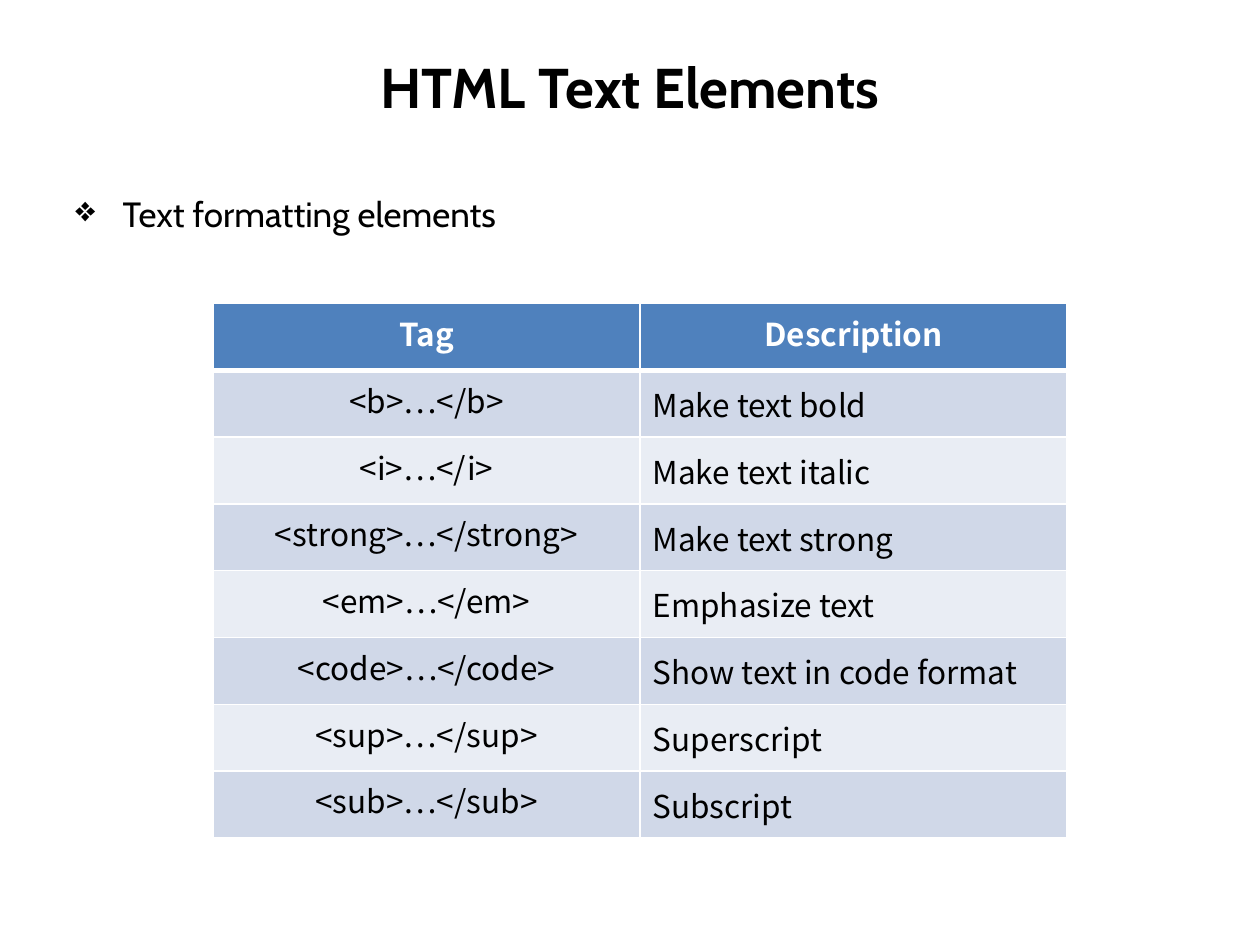
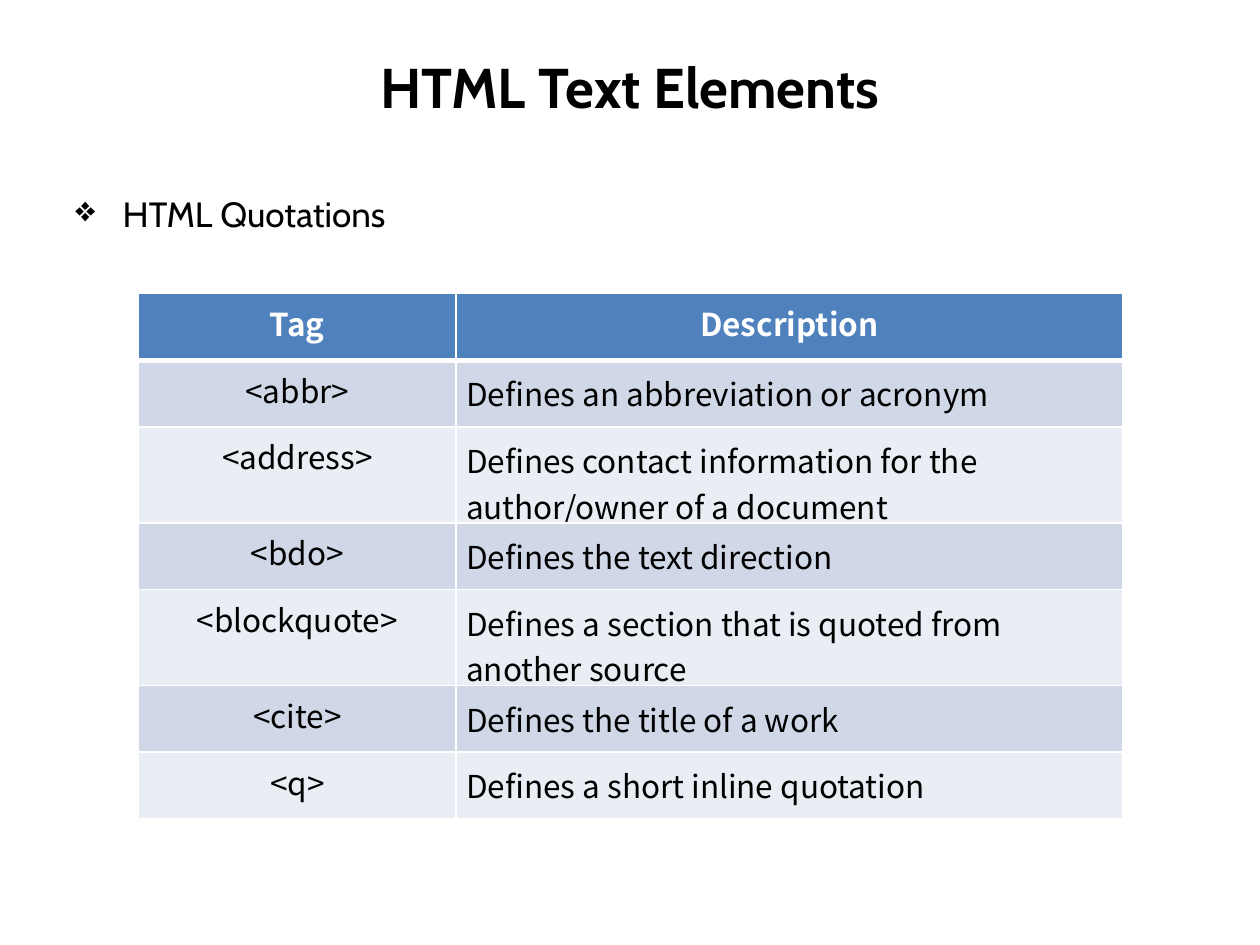
"""Builds two slides listing HTML text elements, each with a heading, a topic and a tag table."""
import pptx
import pptx.dml.color
import pptx.enum.text
import pptx.oxml
import pptx.oxml.ns
import pptx.util

COLORS = {
    "ink": "000000",
    "paper": "FFFFFF",
    "header": "4F81BD",
    "odd": "D0D8E8",
    "even": "E9EDF4",
}
FONTS = {"text": "Cabin", "table": "Noto Sans CJK KR"}
ALIGN = pptx.enum.text.PP_ALIGN
ANCHOR = pptx.enum.text.MSO_ANCHOR
GRID_COLUMNS, GRID_ROWS = 100, 75
ROW_HEIGHT = 5.3

FORMATTING = [(f"<{tag}>…</{tag}>", meaning) for tag, meaning in (
    ("b", "Make text bold"),
    ("i", "Make text italic"),
    ("strong", "Make text strong"),
    ("em", "Emphasize text"),
    ("code", "Show text in code format"),
    ("sup", "Superscript"),
    ("sub", "Subscript"),
)]
QUOTATIONS = [
    ("<abbr>", "Defines an abbreviation or acronym"),
    ("<address>", "Defines contact information for the author/owner of a document"),
    ("<bdo>", "Defines the text direction"),
    ("<blockquote>", "Defines a section that is quoted from another source"),
    ("<cite>", "Defines the title of a work"),
    ("<q>", "Defines a short inline quotation"),
]


def color(name):
    return pptx.dml.color.RGBColor.from_string(COLORS[name])


class Deck:
    def __init__(self):
        self.presentation = pptx.Presentation()
        self.presentation.slide_width = pptx.util.Inches(10)
        self.presentation.slide_height = pptx.util.Inches(7.5)
        self.slide = None

    def across(self, columns):
        return round(self.presentation.slide_width * columns / GRID_COLUMNS)

    def down(self, rows):
        return round(self.presentation.slide_height * rows / GRID_ROWS)

    def add_slide(self, title, topic):
        self.slide = self.presentation.slides.add_slide(self.presentation.slide_layouts[6])
        self.add_title(title)
        self.add_topic(topic)

    def set_text(self, frame, text, size, font, ink="ink", bold=False, align=ALIGN.LEFT):
        frame.text = text
        paragraph = frame.paragraphs[0]
        paragraph.alignment = align
        for run in paragraph.runs:
            run.font.size = pptx.util.Pt(size)
            run.font.name = FONTS[font]
            run.font.bold = bold
            run.font.color.rgb = color(ink)
        return paragraph

    def add_frame(self, top, height):
        box = self.slide.shapes.add_textbox(
            self.across(5), self.down(top), self.across(90), self.down(height))
        box.text_frame.word_wrap = True
        return box.text_frame

    def add_title(self, text):
        frame = self.add_frame(3, 7.7)
        frame.vertical_anchor = ANCHOR.MIDDLE
        self.set_text(frame, text, 32, "text", bold=True, align=ALIGN.CENTER)

    def add_topic(self, text):
        paragraph = self.set_text(self.add_frame(13.1, 58.3), text, 20, "text", align=ALIGN.JUSTIFY)
        paragraph.line_spacing = 1.5
        indent = self.across(3.75)
        properties = paragraph._p.get_or_add_pPr()
        properties.set("marL", str(indent))
        properties.set("indent", str(-indent))
        bullet = pptx.oxml.parse_xml(
            f'<a:buChar {pptx.oxml.ns.nsdecls("a")} char="❖"/>')
        properties.append(bullet)

    def set_borders(self, cell, top, bottom):
        properties = cell._tc.get_or_add_tcPr()
        sides = {"lnL": 1, "lnR": 1, "lnT": top, "lnB": bottom}
        for position, (side, points) in enumerate(sides.items()):
            properties.insert(position, pptx.oxml.parse_xml(
                f'<a:{side} {pptx.oxml.ns.nsdecls("a")} w="{pptx.util.Pt(points)}">'
                f'<a:solidFill><a:srgbClr val="{COLORS["paper"]}"/></a:solidFill></a:{side}>'))

    def add_tag_table(self, left, top, widths, entries, anchor, inset=None):
        rows = [("Tag", "Description"), *entries]
        table = self.slide.shapes.add_table(
            len(rows), len(widths), self.across(left), self.down(top),
            self.across(sum(widths)), self.down(ROW_HEIGHT * len(rows))).table
        table.horz_banding = False
        for column, width in zip(table.columns, widths):
            column.width = self.across(width)
        for row_number, texts in enumerate(rows):
            table.rows[row_number].height = self.down(ROW_HEIGHT)
            header = row_number == 0
            band = "header" if header else ("even", "odd")[row_number % 2]
            for column_number, text in enumerate(texts):
                cell = table.cell(row_number, column_number)
                description = column_number == 1 and not header
                self.set_text(cell.text_frame, text, 18, "table",
                              "paper" if header else "ink", header,
                              ALIGN.LEFT if description else ALIGN.CENTER)
                cell.fill.solid()
                cell.fill.fore_color.rgb = color(band)
                self.set_borders(cell, 3 if row_number == 1 else 1, 3 if header else 1)
                if description:
                    cell.vertical_anchor = anchor
                    if inset:
                        cell.margin_left = cell.margin_right = self.across(inset)
                        cell.margin_top = cell.margin_bottom = self.down(inset)


def main():
    deck = Deck()
    heading = "HTML Text Elements"
    deck.add_slide(heading, "Text formatting elements")
    deck.add_tag_table(16.9, 24.1, (33.9, 33.9), FORMATTING, ANCHOR.MIDDLE)
    deck.add_slide(heading, "HTML Quotations")
    deck.add_tag_table(11, 23.3, (25.2, 52.9), QUOTATIONS, ANCHOR.TOP, inset=0.8)
    deck.presentation.save("out.pptx")


if __name__ == "__main__":
    main()
